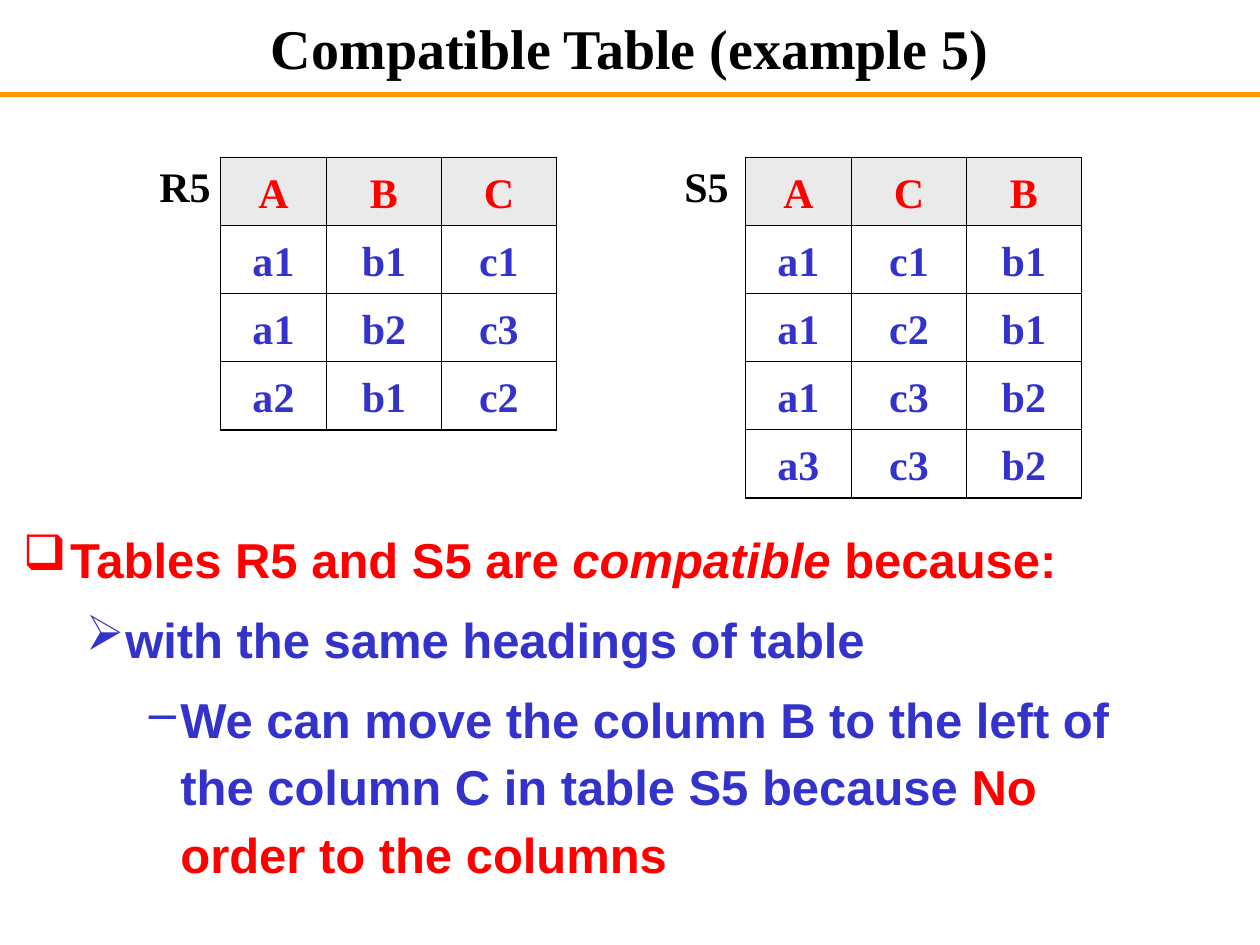
import lxml.etree
import pptx
import pptx.dml.color
import pptx.enum.shapes
import pptx.enum.text
import pptx.oxml.ns
import pptx.util

RGBColor = pptx.dml.color.RGBColor
BLACK = RGBColor(0x00, 0x00, 0x00)
WHITE = RGBColor(0xFF, 0xFF, 0xFF)
RED = RGBColor(0xFF, 0x00, 0x00)
BLUE = RGBColor(0x33, 0x33, 0xCC)
ORANGE = RGBColor(0xFF, 0x99, 0x00)
HEADING_GREY = RGBColor(0xEA, 0xEA, 0xEA)

SERIF, SANS = "Times New Roman", "Arial"
CENTER = pptx.enum.text.PP_ALIGN.CENTER
MIDDLE = pptx.enum.text.MSO_ANCHOR.MIDDLE
OUTER, INNER = 1.08, 0.45  # table border widths in points

deck = pptx.Presentation()
deck.slide_width = pptx.util.Inches(10)
deck.slide_height = pptx.util.Inches(7.5)
slide = deck.slides.add_slide(deck.slide_layouts[5])
UNIT = deck.slide_width / 120  # the slide is a grid of 120 columns by 90 rows


def grid(*counts):
    """Turn counts of grid units into lengths."""
    return [pptx.util.Emu(round(count * UNIT)) for count in counts]


def style(font, face, size, color):
    font.name, font.size, font.bold = face, pptx.util.Pt(size), True
    font.color.rgb = color


rule = slide.shapes.add_connector(
    pptx.enum.shapes.MSO_CONNECTOR.STRAIGHT, *grid(0, 9, 120, 9))
rule.line.color.rgb = ORANGE
rule.line.width = pptx.util.Pt(3)
lxml.etree.SubElement(rule._element.spPr, pptx.oxml.ns.qn("a:effectLst"))

title = slide.shapes.title
title.left, title.top, title.width, title.height = grid(9, 1, 102, 7)
title.text_frame.text = "Compatible Table (example 5)"
title.text_frame.vertical_anchor = MIDDLE
title.text_frame.paragraphs[0].alignment = CENTER
style(title.text_frame.paragraphs[0].runs[0].font, SERIF, 32, BLACK)

# name, label column, table column, row height, rows
relations = [
    ("R5", 14, 21, 6.07, ["A B C", "a1 b1 c1", "a1 b2 c3", "a2 b1 c2"]),
    ("S5", 64, 71, 6.48,
     ["A C B", "a1 c1 b1", "a1 c2 b1", "a1 c3 b2", "a3 c3 b2"]),
]
for name, label_column, table_column, row_height, rows in relations:
    label = slide.shapes.add_textbox(*grid(label_column, 15.25, 10, 4.8)).text_frame
    label.word_wrap = True
    label.margin_top = label.margin_bottom = 0
    label.text = name
    style(label.paragraphs[0].runs[0].font, SERIF, 24, BLACK)

    relation = slide.shapes.add_table(
        len(rows), 3, *grid(table_column, 15, 32, row_height * len(rows))).table
    for column, width in zip(relation.columns, grid(10.1, 10.95, 10.95)):
        column.width = width
    for r, row in enumerate(rows):
        relation.rows[r].height = grid(row_height)[0]
        for c, value in enumerate(row.split()):
            cell = relation.cell(r, c)
            cell.text = value
            cell.vertical_anchor = MIDDLE
            cell.fill.solid()
            cell.fill.fore_color.rgb = HEADING_GREY if r == 0 else WHITE
            paragraph = cell.text_frame.paragraphs[0]
            paragraph.alignment = CENTER
            paragraph.line_spacing = 1.1
            style(paragraph.runs[0].font, SERIF, 24, RED if r == 0 else BLUE)
            on_edge = {"L": c == 0, "R": c == 2,
                       "T": r == 0, "B": r == len(rows) - 1}
            for position, (side, outer) in enumerate(on_edge.items()):
                border = pptx.oxml.parse_xml(
                    f'<a:ln{side} {pptx.oxml.ns.nsdecls("a")} '
                    f'w="{pptx.util.Pt(OUTER if outer else INNER)}"><a:solidFill>'
                    f'<a:srgbClr val="{BLACK}"/></a:solidFill></a:ln{side}>')
                cell._tc.get_or_add_tcPr().insert(position, border)

# bullet, left margin, hanging indent, runs of (text, colour, italic)
reasons = [
    ("❑", 4.5, 4.5, [("Tables R5 and S5 are ", RED, False),
                     ("compatible", RED, True),
                     (" because:", RED, False)]),
    ("➢", 9.75, 3.75, [("with the same headings of table", BLUE, False)]),
    ("–", 15, 3, [("We can move the column B to the left of the column C "
                   "in table S5 because ", BLUE, False),
                  ("No order to the columns", RED, False)]),
]
explanation = slide.shapes.add_textbox(*grid(1, 49, 112, 36)).text_frame
explanation.word_wrap = True
for level, (bullet, margin, hanging, pieces) in enumerate(reasons):
    paragraph = explanation.add_paragraph() if level else explanation.paragraphs[0]
    properties = paragraph._p.get_or_add_pPr()
    left, indent = grid(margin, -hanging)
    properties.set("marL", str(left))
    properties.set("indent", str(indent))
    bullet_color = lxml.etree.SubElement(properties, pptx.oxml.ns.qn("a:buClr"))
    lxml.etree.SubElement(bullet_color, pptx.oxml.ns.qn("a:srgbClr"),
                          val=str(pieces[0][1]))
    lxml.etree.SubElement(properties, pptx.oxml.ns.qn("a:buChar"), char=bullet)
    paragraph.level = level
    paragraph.line_spacing = 1.15
    if level:
        paragraph.space_before = pptx.util.Pt(7)
    for text, color, italic in pieces:
        run = paragraph.add_run()
        run.text = text
        style(run.font, SANS, 28, color)
        run.font.italic = italic

deck.save("out.pptx")
